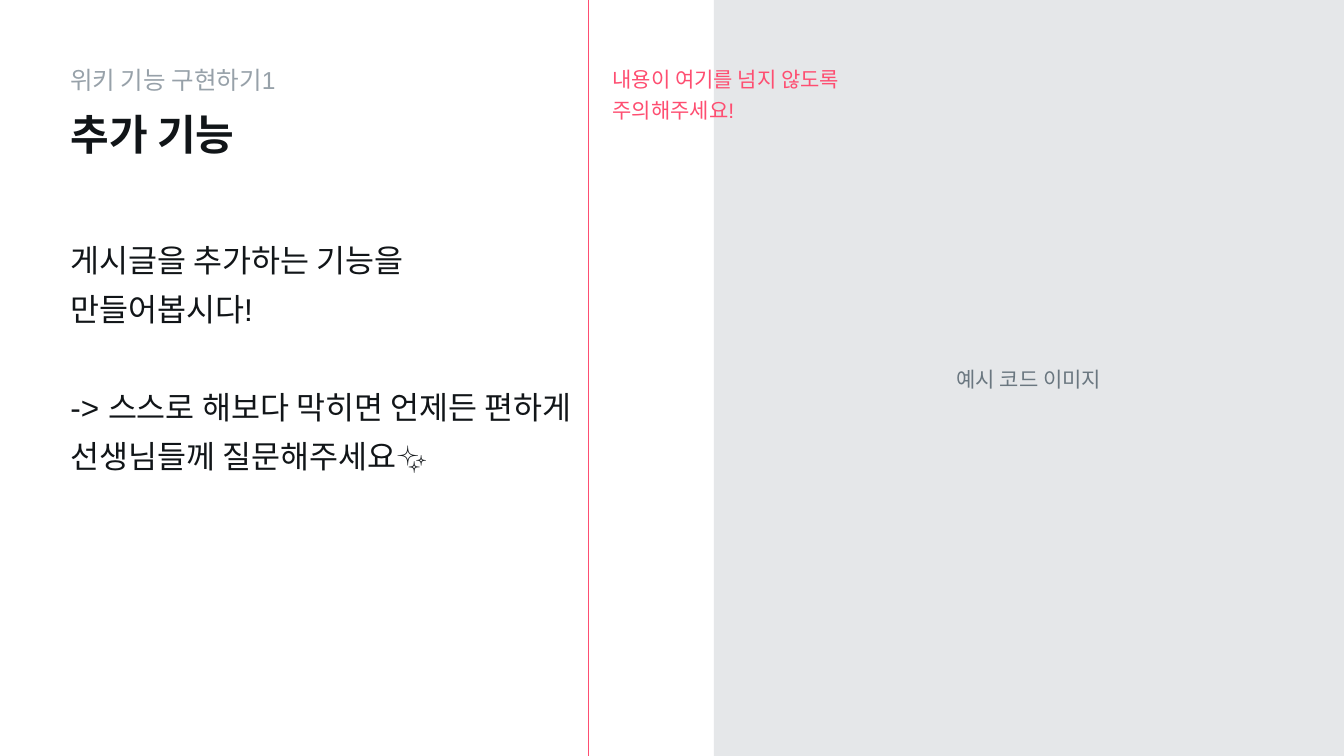
from lxml import etree
from pptx import Presentation
from pptx.dml.color import RGBColor
from pptx.enum.shapes import MSO_CONNECTOR, MSO_SHAPE
from pptx.enum.text import MSO_ANCHOR, PP_ALIGN
from pptx.oxml.ns import qn
from pptx.util import Pt

WHITE = RGBColor(0xFF, 0xFF, 0xFF)
PANEL = RGBColor(0xE5, 0xE7, 0xE9)
SLATE = RGBColor(0x6A, 0x77, 0x80)
GREY = RGBColor(0x97, 0xA1, 0xA9)
INK = RGBColor(0x11, 0x15, 0x18)
PINK = RGBColor(0xFE, 0x4E, 0x71)

FONT = "Arial"
WIDTH, HEIGHT = 1920, 1080
PANEL_LEFT = 1020
GUIDE_X = 840.5
MARGIN = 96
INSET = 4.5

# Each text: paragraphs, box (left, top, width, height), size, colour, options
TEXTS = [
    (["예시 코드 이미지"], (1311, 513, 318, 53), 30, SLATE,
     {"align": PP_ALIGN.CENTER, "line_spacing": 1.1}),
    (["위키 기능 구현하기1"], (MARGIN, 84, 420, 60), 35, GREY, {}),
    (["추가 기능"], (MARGIN, 142, 575, 97), 60, INK, {"bold": True}),
    (["게시글을 추가하는 기능을 만들어봅시다!",
      "-> 스스로 해보다 막히면 언제든 편하게 선생님들께 질문해주세요✨"],
     (MARGIN, 323, 727, 323), 45, INK,
     {"anchor": MSO_ANCHOR.TOP, "line_spacing": 1.3, "gap": 70}),
    (["내용이 여기를 넘지 않도록", "주의해주세요!"],
     (870.5, 84, 342, 97), 30, PINK,
     {"anchor": MSO_ANCHOR.TOP, "line_spacing": 1.2}),
]


def add_text(slide, lines, box, size, colour, align=PP_ALIGN.LEFT,
             anchor=MSO_ANCHOR.MIDDLE, line_spacing=1.0, gap=0, bold=False):
    frame = slide.shapes.add_textbox(*map(Pt, box)).text_frame
    frame.word_wrap = True
    frame.vertical_anchor = anchor
    frame.margin_left = frame.margin_right = Pt(INSET)
    frame.margin_top = frame.margin_bottom = Pt(INSET)
    for index, line in enumerate(lines):
        paragraph = frame.add_paragraph() if index else frame.paragraphs[0]
        paragraph.text = line
        paragraph.alignment = align
        paragraph.line_spacing = line_spacing
        if index and gap:
            paragraph.space_before = Pt(gap)
        font = paragraph.font
        font.name, font.size, font.bold = FONT, Pt(size), bold
        font.color.rgb = colour


def main():
    presentation = Presentation()
    presentation.slide_width, presentation.slide_height = Pt(WIDTH), Pt(HEIGHT)
    slide = presentation.slides.add_slide(presentation.slide_layouts[6])
    slide.background.fill.solid()
    slide.background.fill.fore_color.rgb = WHITE

    # Code example panel
    panel = slide.shapes.add_shape(MSO_SHAPE.RECTANGLE, Pt(PANEL_LEFT), 0,
                                   Pt(WIDTH - PANEL_LEFT), Pt(HEIGHT))
    panel.shadow.inherit = False
    panel.fill.solid()
    panel.fill.fore_color.rgb = PANEL
    panel.line.fill.background()

    # Content limit guide
    guide = slide.shapes.add_connector(MSO_CONNECTOR.STRAIGHT, Pt(GUIDE_X), 0,
                                       Pt(GUIDE_X), Pt(HEIGHT))
    guide.line.color.rgb = PINK
    guide.line.width = Pt(2)
    etree.SubElement(guide._element.spPr, qn("a:effectLst"))

    # Headings, body and notes
    for lines, box, size, colour, options in TEXTS:
        add_text(slide, lines, box, size, colour, **options)

    presentation.save("out.pptx")


if __name__ == "__main__":
    main()
